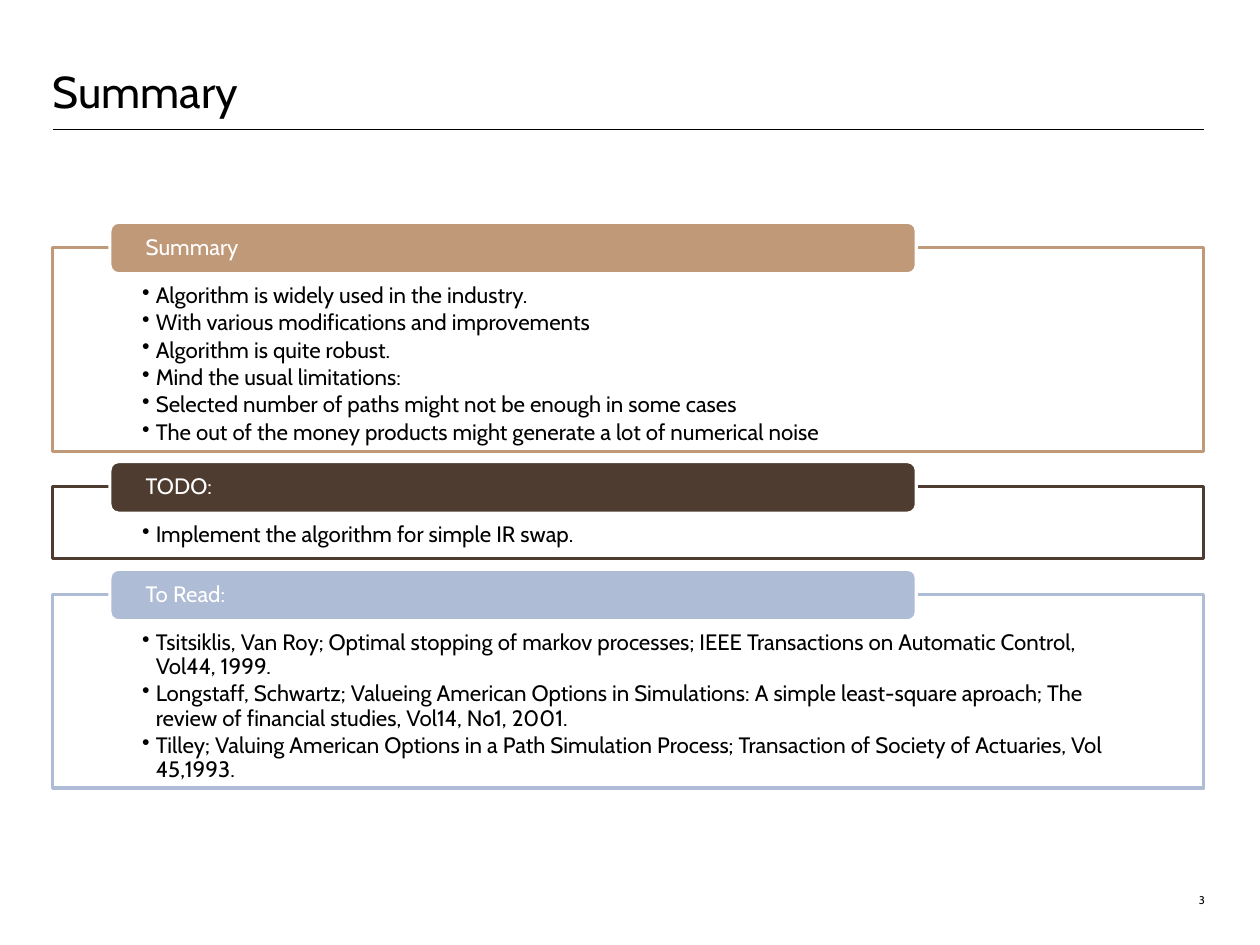
from lxml import etree
from pptx import Presentation
from pptx.dml.color import RGBColor
from pptx.enum import shapes, text
from pptx.oxml import ns
from pptx.util import Inches, Pt

FONT = "Cabin"
LEFT, WIDTH = 0.46, 10.05
FIRST_TOP, GAP = 2.16, 0.31
TAB_INDENT, TAB_RISE, TAB_WIDTH, TAB_HEIGHT = 0.5, 0.22, 7.04, 0.45

# Heading, colour, frame height, items
SECTIONS = [
    ("Summary", "C09979", 1.78, [
        "Algorithm is widely used in the industry.",
        "With various modifications and improvements",
        "Algorithm is quite robust.",
        "Mind the usual limitations:",
        "Selected number of paths might not be enough in some cases",
        "The out of the money products might generate a lot of numerical noise",
    ]),
    ("TODO:", "4D3C2F", 0.63, ["Implement the algorithm for simple IR swap."]),
    ("To Read:", "AFBCD5", 1.69, [
        "Tsitsiklis, Van Roy; Optimal stopping of markov processes; "
        "IEEE Transactions on Automatic Control, Vol44, 1999.",
        "Longstaff, Schwartz; Valueing American Options in Simulations: "
        "A simple least-square aproach; The review of financial studies, "
        "Vol14, No1, 2001.",
        "Tilley; Valuing American Options in a Path Simulation Process; "
        "Transaction of Society of Actuaries, Vol 45,1993.",
    ]),
]


def color(value):
    return RGBColor.from_string(value)


def add_child(parent, tag, **attributes):
    return etree.SubElement(parent, ns.qn(tag), **attributes)


def write(box, lines, size=14, ink="000000", align=text.PP_ALIGN.LEFT,
          anchor=text.MSO_ANCHOR.TOP, insets=(0, 0, 0, 0), spacing=0.9,
          after=0, bullet=False):
    frame = box.text_frame
    frame.word_wrap = True
    frame.auto_size = text.MSO_AUTO_SIZE.NONE
    frame.vertical_anchor = anchor
    (frame.margin_left, frame.margin_top,
     frame.margin_right, frame.margin_bottom) = map(Inches, insets)
    for index, line in enumerate(lines):
        para = frame.paragraphs[0] if index == 0 else frame.add_paragraph()
        para.alignment = align
        para.line_spacing = spacing
        para.space_before, para.space_after = Pt(0), Pt(after)
        if bullet:
            properties = para._p.get_or_add_pPr()
            properties.set("marL", str(Inches(0.12)))
            properties.set("indent", str(-Inches(0.12)))
            add_child(properties, "a:buChar", char="•")
        span = para.add_run()
        span.text = line
        span.font.name, span.font.size = FONT, Pt(size)
        span.font.color.rgb = color(ink)


def add_panel(page, kind, left, top, width, height, fill, line):
    panel = page.shapes.add_shape(kind, Inches(left), Inches(top),
                                  Inches(width), Inches(height))
    panel.shadow.inherit = False
    panel.fill.solid()
    panel.fill.fore_color.rgb = color(fill)
    panel.line.color.rgb = color(line)
    panel.line.width = Pt(2)
    return panel


def add_header(page, left, width):
    # Title
    title = page.shapes.title
    title.left, title.top = Inches(left), Inches(0)
    title.width, title.height = Inches(width), Inches(1.03)
    write(title, ["Summary"], size=28, anchor=text.MSO_ANCHOR.BOTTOM,
          spacing=Pt(32))
    # Rule below the title
    rule = page.shapes.add_connector(
        shapes.MSO_CONNECTOR.STRAIGHT, Inches(left), Inches(1.13),
        Inches(left + width), Inches(1.13))
    rule.line.color.rgb = color("000000")
    rule.line.width = Pt(0.75)
    add_child(rule._element.spPr, "a:effectLst")


def add_section(page, left, top, width, height, heading, accent, items):
    # Outlined frame with the list
    frame = add_panel(page, shapes.MSO_SHAPE.RECTANGLE, left, top, width,
                      height, "FFFFFF", accent)
    fill = frame._element.spPr.find(ns.qn("a:solidFill"))
    add_child(fill[0], "a:alpha", val="90000")
    write(frame, items, insets=(0.78, 0.32, 0.78, 0.11), after=2.1,
          bullet=True)
    # Heading tab over the top edge
    tab = add_panel(page, shapes.MSO_SHAPE.ROUNDED_RECTANGLE,
                    left + TAB_INDENT, top - TAB_RISE, TAB_WIDTH, TAB_HEIGHT,
                    accent, "FFFFFF")
    write(tab, [heading], ink="FFFFFF", anchor=text.MSO_ANCHOR.MIDDLE,
          insets=(0.29, 0, 0.29, 0))


def add_page_number(page, left, top, width, height):
    box = page.shapes.add_textbox(Inches(left), Inches(top),
                                  Inches(width), Inches(height))
    write(box, ["3"], size=7, align=text.PP_ALIGN.RIGHT,
          anchor=text.MSO_ANCHOR.BOTTOM, spacing=1.0)


def main():
    deck = Presentation()
    deck.slide_width, deck.slide_height = Inches(11), Inches(8.25)
    page = deck.slides.add_slide(deck.slide_layouts.get_by_name("Title Only"))
    add_header(page, LEFT, WIDTH)
    top = FIRST_TOP
    for heading, accent, height, items in SECTIONS:
        add_section(page, LEFT, top, WIDTH, height, heading, accent, items)
        top += height + GAP
    add_page_number(page, 10.07, 7.5, 0.45, 0.42)
    deck.save("out.pptx")


if __name__ == "__main__":
    main()
